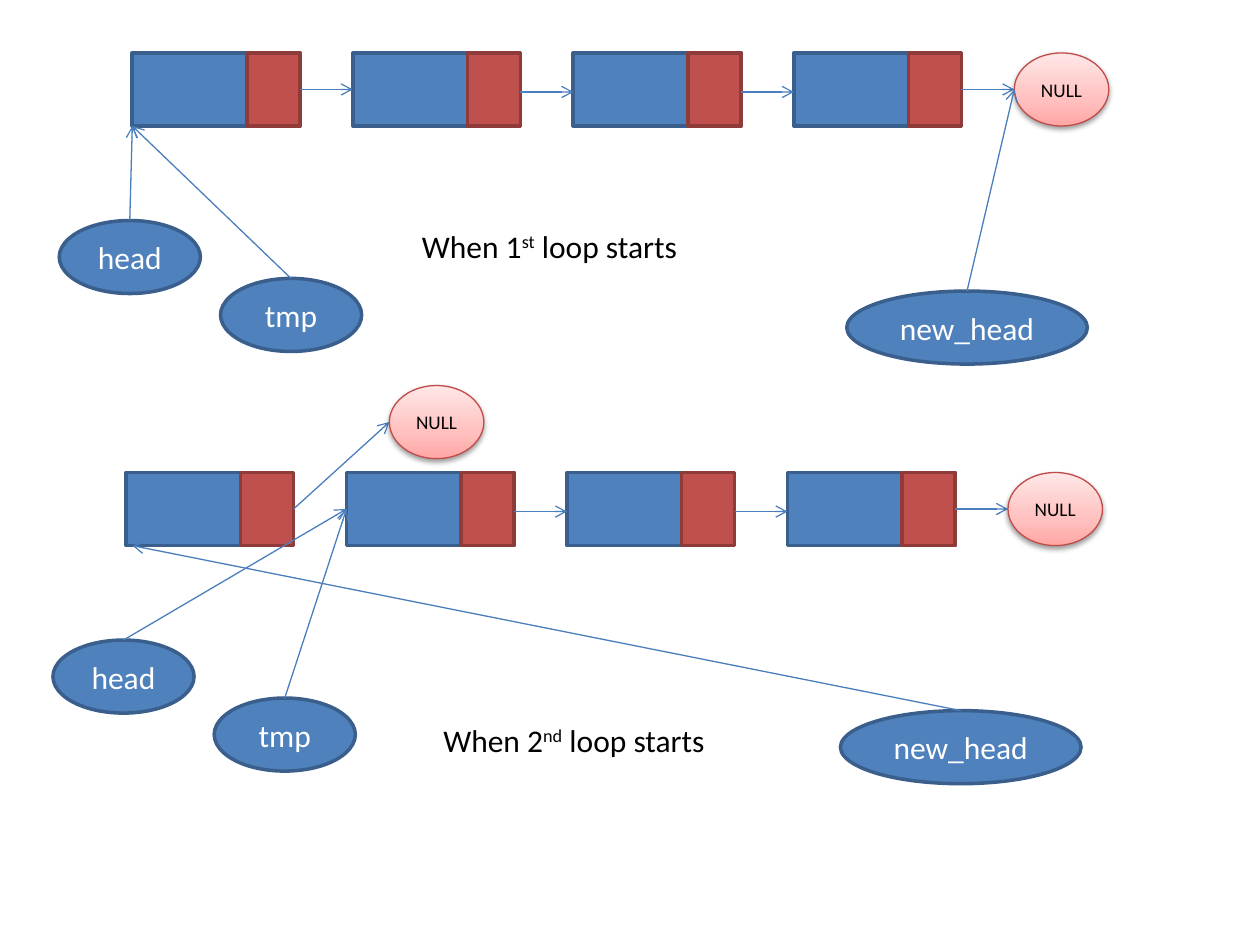
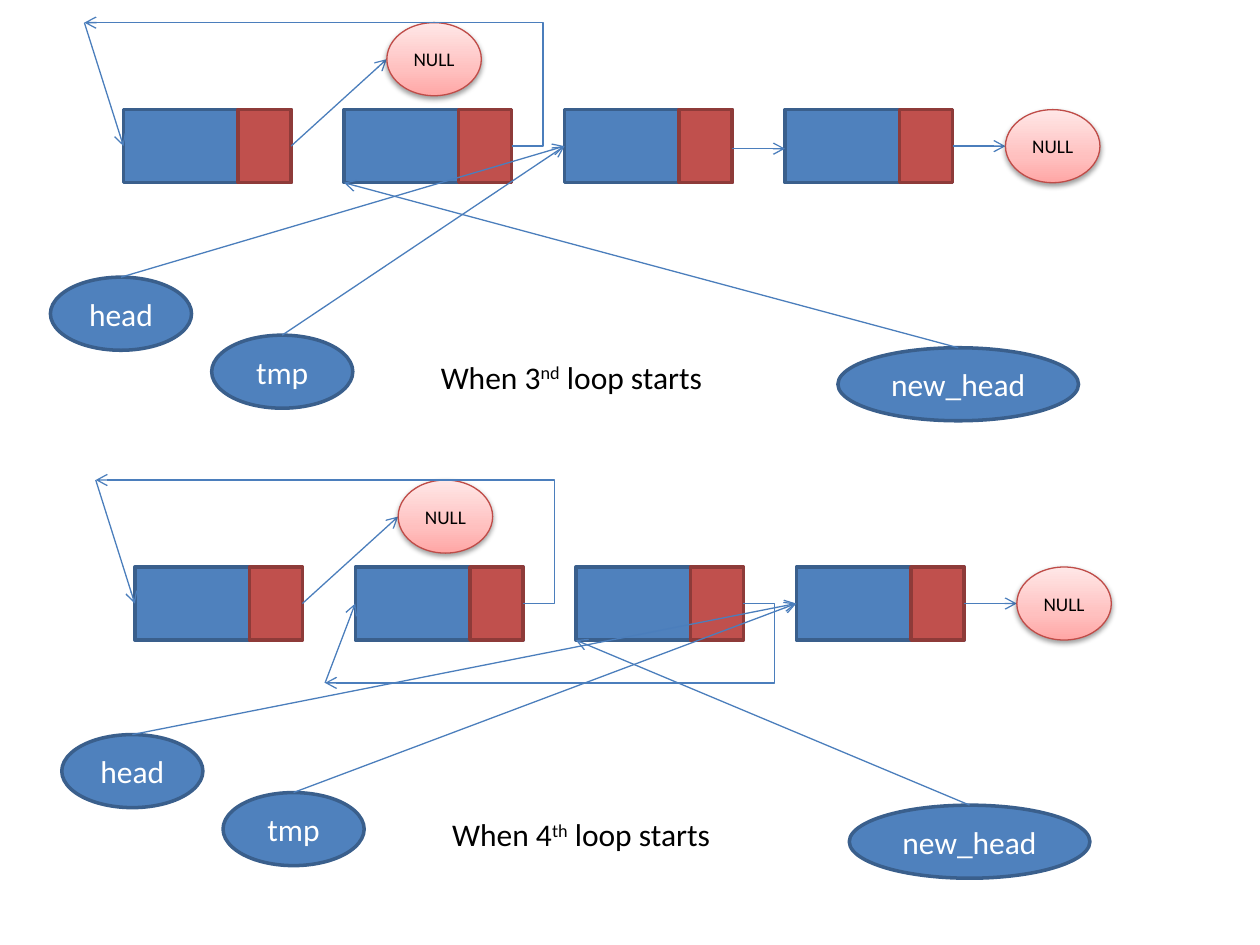
import copy

import lxml.etree
import pptx
import pptx.dml.color
import pptx.enum.shapes
import pptx.enum.text
import pptx.oxml.ns
import pptx.util

RGB = pptx.dml.color.RGBColor
BLUE = RGB(0x4F, 0x81, 0xBD)
NAVY = RGB(0x3A, 0x5F, 0x8C)
RED = RGB(0xC0, 0x50, 0x4D)
MAROON = RGB(0x8E, 0x3B, 0x39)
ROSE = RGB(0xBF, 0x4C, 0x48)
WIRE = RGB(0x4B, 0x7E, 0xBC)
WHITE = RGB(0xFF, 0xFF, 0xFF)
BLACK = RGB(0, 0, 0)
PINKS = [(0, RGB(0xFF, 0xA6, 0xA5)), (0.35, RGB(0xFF, 0xC0, 0xBF)),
         (1, RGB(0xFF, 0xE7, 0xE7))]

FONT = "Calibri"
SHAPE = pptx.enum.shapes.MSO_SHAPE
LINK = pptx.enum.shapes.MSO_CONNECTOR
Inches = pptx.util.Inches
qn = pptx.oxml.ns.qn

# Measures of one list, from the top left corner of its first node
COUNT = 4
PITCH = Inches(1.75)
WIDE = Inches(1.33)
HIGH = Inches(0.58)
MID = Inches(0.29)
CELL = Inches(0.42)
NULL_W = Inches(0.75)
LOOP_X, LOOP_Y = Inches(2.09), Inches(-0.69)
END_X = COUNT * PITCH
# Where the link of a turned node bends back to, before the node ahead of it
BENDS = {1: (Inches(-0.31), Inches(-0.69)), 2: (Inches(1.51), Inches(0.92))}
# Name, left, top and width of each pointer
HEAD = ("head", Inches(-0.58), Inches(1.33), Inches(1.12))
TMP = ("tmp", Inches(0.7), Inches(1.79), Inches(1.12))
NEW = ("new_head", Inches(5.67), Inches(1.89), Inches(1.91))


def add_run(para, text, size, color):
    """Add one run of text in the shared font."""
    run = para.add_run()
    run.text = text
    run.font.name = FONT
    run.font.size = pptx.util.Pt(size)
    run.font.color.rgb = color
    return run


def add_form(shapes, kind, box, fill, edge, width):
    """Add a flat shape; without a fill colour it gets the pink fade."""
    form = shapes.add_shape(kind, *box)
    form.shadow.inherit = False
    form.line.color.rgb = edge
    form.line.width = pptx.util.Pt(width)
    if fill is not None:
        form.fill.solid()
        form.fill.fore_color.rgb = fill
        return form
    form.fill.gradient()
    form.fill.gradient_angle = 90
    stops = form._element.spPr.find(".//" + qn("a:gsLst"))
    stops.append(copy.deepcopy(stops[0]))
    for stop, (place, color) in zip(form.fill.gradient_stops, PINKS):
        stop.position = place
        stop.color.rgb = color
    return form


def add_label(form, text, size, color):
    """Centre a word in a shape."""
    frame = form.text_frame
    frame.word_wrap = False
    frame.vertical_anchor = pptx.enum.text.MSO_ANCHOR.MIDDLE
    para = frame.paragraphs[0]
    para.alignment = pptx.enum.text.PP_ALIGN.CENTER
    add_run(para, text, size, color)


def add_arrow(slide, start, end, bend=None):
    """Join two points by an arrow, straight or bent past its start."""
    kind = LINK.STRAIGHT if bend is None else LINK.ELBOW
    arrow = slide.shapes.add_connector(kind, *start, *end)
    arrow.line.color.rgb = WIRE
    arrow.line.width = pptx.util.Pt(0.75)
    props = arrow._element.spPr
    lxml.etree.SubElement(props.find(qn("a:ln")), qn("a:tailEnd"), type="arrow")
    lxml.etree.SubElement(props, qn("a:effectLst"))
    if bend is not None:
        guides = props.find(qn("a:prstGeom")).get_or_add_avLst()
        lxml.etree.SubElement(guides, qn("a:gd"), name="adj1", fmla=f"val {bend}")


def add_node(slide, left, top):
    """Group a value box with its red link cell."""
    group = slide.shapes.add_group_shape()
    add_form(group.shapes, SHAPE.RECTANGLE, (left, top, WIDE, HIGH), BLUE, NAVY, 2)
    cell = (left + WIDE - CELL, top, CELL, HIGH)
    add_form(group.shapes, SHAPE.RECTANGLE, cell, RED, MAROON, 2)


def add_null(slide, left, top):
    """Add a NULL ball with its soft shadow."""
    box = (left, top, NULL_W, HIGH)
    ball = add_form(slide.shapes, SHAPE.OVAL, box, None, ROSE, 0.75)
    add_label(ball, "NULL", 11, BLACK)
    shade = lxml.etree.SubElement(
        ball._element.spPr.find(qn("a:effectLst")), qn("a:outerShdw"),
        blurRad=str(pptx.util.Pt(3.1)), dist=str(pptx.util.Pt(1.6)),
        dir="5400000", rotWithShape="0")
    tint = lxml.etree.SubElement(shade, qn("a:srgbClr"), val=str(BLACK))
    lxml.etree.SubElement(tint, qn("a:alpha"), val="38000")


def add_pointer(slide, left, top, item, goal):
    """Add a named pointer and the arrow to its goal."""
    name, shift, drop, width = item
    box = (left + shift, top + drop, width, HIGH)
    oval = add_form(slide.shapes, SHAPE.OVAL, box, BLUE, NAVY, 2)
    add_label(oval, name, 18, WHITE)
    add_arrow(slide, (box[0] + width // 2, box[1]), goal)


def add_caption(slide, box, texts):
    """Name the loop, with the ordinal ending raised."""
    area = slide.shapes.add_textbox(*box)
    frame = area.text_frame
    frame.word_wrap = False
    frame.auto_size = pptx.enum.text.MSO_AUTO_SIZE.SHAPE_TO_FIT_TEXT
    runs = [add_run(frame.paragraphs[0], text, 18, BLACK) for text in texts]
    runs[1].font._element.set("baseline", "30000")


def add_turned(slide, left, top, done):
    """Draw the backward links of the nodes turned so far."""
    if done:
        add_arrow(slide, (left + WIDE, top + MID), (left + LOOP_X, top + LOOP_Y + MID))
        add_null(slide, left + LOOP_X, top + LOOP_Y)
    for step in range(1, done):
        shift, drop = BENDS[step]
        turn = (left + shift, top + drop)
        add_arrow(slide, (left + step * PITCH + WIDE, top + MID), turn, -7400)
        add_arrow(slide, turn, (left + (step - 1) * PITCH, top + MID))


def add_stage(slide, left, top, done, ending, note):
    """Draw the list as it stands once `done` nodes are turned."""
    for step in range(COUNT):
        add_node(slide, left + step * PITCH, top)
    for step in range(done, COUNT):
        level = top + (Inches(0.31) if step in (1, 2) else MID)
        add_arrow(slide, (left + step * PITCH + WIDE, level),
                  (left + (step + 1) * PITCH, level))
    add_null(slide, left + END_X, top)

    goal = (left + done * PITCH, top + (MID if done else HIGH))
    add_pointer(slide, left, top, HEAD, goal)
    add_pointer(slide, left, top, TMP, goal)
    if done:
        nudge = Inches(0.05) if done == 1 else 0
        last = (left + (done - 1) * PITCH + nudge, top + HIGH)
    else:
        last = (left + END_X, top + MID)
    add_pointer(slide, left, top, NEW, last)
    add_turned(slide, left, top, done)

    shift, drop, width = note
    box = (left + shift, top + drop, width, Inches(0.4))
    add_caption(slide, box, [f"When {done + 1}", ending, " loop starts"])


FIRST = (Inches(2.2), Inches(1.33), Inches(2.27))
LATER = (Inches(2.42), Inches(1.92), Inches(2.36))
SLIDES = [
    [(Inches(1.05), Inches(0.42), 0, "st", FIRST),
     (Inches(1), Inches(3.75), 1, "nd", LATER)],
    [(Inches(0.98), Inches(0.87), 2, "nd", LATER),
     (Inches(1.07), Inches(4.5), 3, "th", LATER)],
]

deck = pptx.Presentation()
deck.slide_width, deck.slide_height = Inches(10), Inches(7.5)
for stages in SLIDES:
    page = deck.slides.add_slide(deck.slide_layouts[6])
    for stage in stages:
        add_stage(page, *stage)
deck.save("out.pptx")
